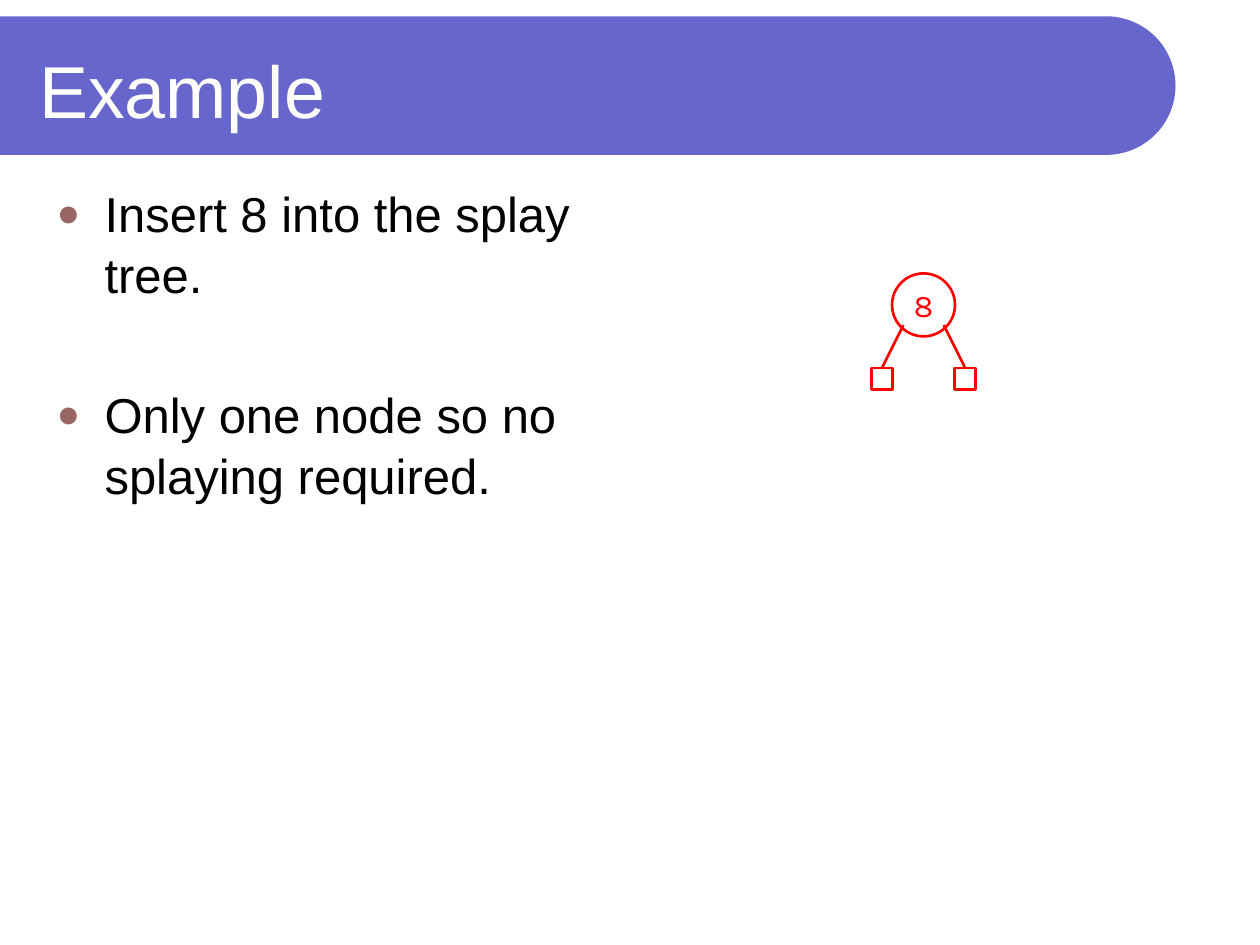
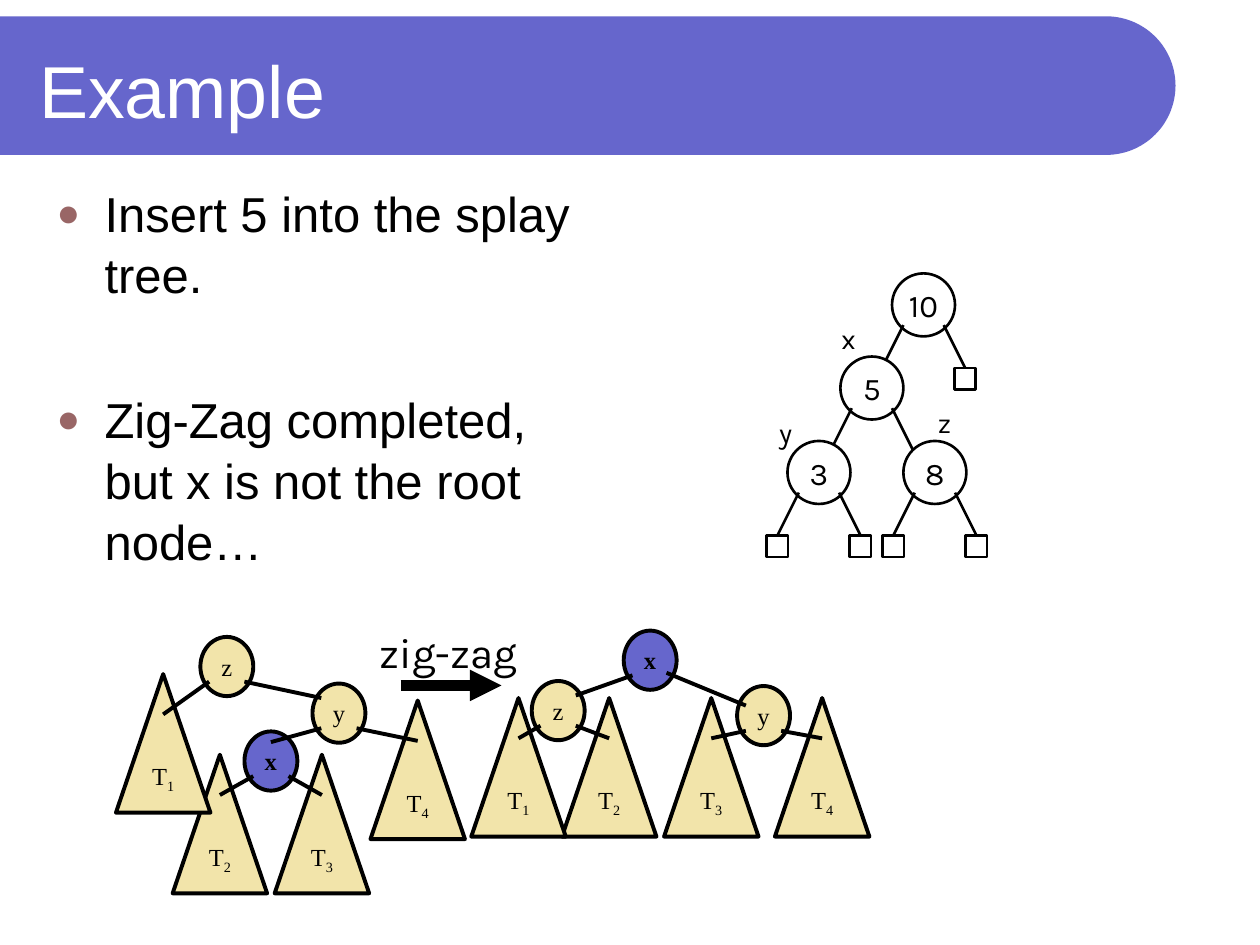
"""Builds two slides on inserting keys into a splay tree."""
import math

import lxml.etree
import pptx
import pptx.dml.color
import pptx.enum.shapes
import pptx.enum.text
import pptx.oxml.ns
import pptx.util
from pptx.util import Inches, Pt

COLORS = {"band": "6666CC", "white": "FFFFFF", "black": "000000", "red": "FF0000",
          "bullet": "996666", "sand": "F2E4AA"}
SHAPES = pptx.enum.shapes.MSO_SHAPE
CENTER = pptx.enum.text.PP_ALIGN.CENTER
LEFT = pptx.enum.text.PP_ALIGN.LEFT

TITLE_FONT = {"name": "Arial", "size": Pt(42)}
BODY_FONT = {"name": "Arial", "size": Pt(28)}
KEY_FONT = {"name": "Karla", "size": Pt(18)}
NAME_FONT = {"name": "Karla", "size": Pt(16)}
STEP_FONT = {"name": "Karla", "size": Pt(24)}
SUBTREE_FONT = {"name": "Times New Roman", "size": Pt(14)}

# fmt: off
SLIDES = [
    {"title": "Example",
     "bullets": ["Insert 8 into the splay tree.",
                 "Only one node so no splaying required."],
     "gap": 44.5, "ink": "red",
     "nodes": [("8", 7.33, 2.42, "LR", "LR")],
     "names": [], "rotation": None},
    {"title": "Example",
     "bullets": ["Insert 5 into the splay tree.",
                 "Zig-Zag completed, but x is not the root node…"],
     "gap": 47.5, "ink": "black",
     "nodes": [("10", 7.33, 2.42, "LR", "R"), ("5", 6.92, 3.08, "LR", ""),
               ("3", 6.5, 3.75, "LR", "LR"), ("8", 7.42, 3.75, "LR", "LR")],
     "names": [("x", 6.58, 2.5), ("z", 7.34, 3.17), ("y", 6.08, 3.25)],
     "rotation": {
         "step": ("zig-zag", 2.91, 4.92, 1.3, 0.5),
         "arrow": (3.18, 5.44, 3.98, 5.44),
         "stages": [
             {"circles": {"z": (1.8, 5.29), "y": (2.69, 5.66), "x": (2.15, 6.04)},
              "triangles": [("2", 1.37, 5.99, "x"), ("3", 2.18, 5.99, "x"),
                            ("4", 2.94, 5.56, "y"), ("1", 0.92, 5.35, "z")],
              "links": [(1.94, 5.41, 2.55, 5.54), (2.55, 5.78, 2.15, 5.89)]},
             {"circles": {"x": (5.16, 5.24), "z": (4.43, 5.64), "y": (6.06, 5.68)},
              "triangles": [("2", 4.46, 5.54, "z"), ("3", 5.27, 5.54, "y"),
                            ("4", 6.15, 5.54, "y"), ("1", 3.74, 5.54, "z")],
              "links": [(5.92, 5.6, 5.29, 5.34), (4.57, 5.52, 5.02, 5.36)]},
         ]}},
]
# fmt: on

NODE_SIZE, LEAF_SIZE = 0.5, 0.17
EDGE_START, LEAF_REACH, LEAF_DROP = 0.16, 0.33, 0.5
CIRCLE_WIDTH, CIRCLE_HEIGHT = 0.42, 0.47
TRIANGLE_WIDTH, TRIANGLE_HEIGHT = 0.75, 1.1
LINK_REACH, LINK_START, LINK_END = 0.14, 0.12, 0.32


def rgb(color):
    return pptx.dml.color.RGBColor.from_string(COLORS[color])


def set_values(target, values):
    for name, value in values.items():
        setattr(target, name, value)


def add_span(para, text, font, color, bold=False):
    span = para.add_run()
    span.text = text
    set_values(span.font, {**font, "bold": bold})
    span.font.color.rgb = rgb(color)
    return span


def add_band(page, layout):
    right, middle, radius = 8.78, 0.68, 0.55
    angles = [math.radians(degree) for degree in range(-90, 91, 3)]
    arc = [(Inches(right + radius * math.cos(angle)),
            Inches(middle + radius * math.sin(angle))) for angle in angles]
    outline = page.shapes.build_freeform(0, Inches(middle - radius))
    outline.add_line_segments(arc + [(0, Inches(middle + radius))])
    band = outline.convert_to_shape()
    band.shadow.inherit = False
    band.fill.solid()
    band.fill.fore_color.rgb = rgb("band")
    band.line.fill.background()
    layout.shapes.element.insert(2, band.element)


def place(box, left, top, width, height):
    set_values(box, {"left": Inches(left), "top": Inches(top),
                     "width": Inches(width), "height": Inches(height)})


def add_bullet(para):
    properties = para._p.get_or_add_pPr()
    set_values_xml = {"marL": str(Inches(0.38)), "indent": str(-Inches(0.38))}
    for name, value in set_values_xml.items():
        properties.set(name, value)
    qn = pptx.oxml.ns.qn
    color = lxml.etree.SubElement(properties, qn("a:buClr"))
    lxml.etree.SubElement(color, qn("a:srgbClr"), val=COLORS["bullet"])
    lxml.etree.SubElement(properties, qn("a:buSzPct"), val="80000")
    lxml.etree.SubElement(properties, qn("a:buFont"), typeface="Arial")
    lxml.etree.SubElement(properties, qn("a:buChar"), char="●")


def fill_placeholders(page, content):
    title, body = page.shapes.title, page.placeholders[1]
    place(title, 0.21, 0.21, 8.77, 1)
    place(body, 0.35, 1.39, 4.56, 5.75)
    for box in (title, body):
        box.text_frame.auto_size = pptx.enum.text.MSO_AUTO_SIZE.NONE
    para = title.text_frame.paragraphs[0]
    para.alignment = LEFT
    add_span(para, content["title"], TITLE_FONT, "white")
    for index, text in enumerate(content["bullets"]):
        para = body.text_frame.add_paragraph() if index else body.text_frame.paragraphs[0]
        add_bullet(para)
        set_values(para, {"alignment": LEFT, "line_spacing": 1.04,
                          "space_before": Pt(content["gap"] if index else 0)})
        add_span(para, text, BODY_FONT, "black")


def add_line(page, ends, color, width):
    line = page.shapes.add_connector(
        pptx.enum.shapes.MSO_CONNECTOR.STRAIGHT, *[Inches(value) for value in ends])
    line.line.color.rgb = rgb(color)
    line.line.width = Pt(width)
    lxml.etree.SubElement(line.element.spPr, pptx.oxml.ns.qn("a:effectLst"))
    return line


def center_text(box):
    set_values(box.text_frame, {"word_wrap": False,
                                "vertical_anchor": pptx.enum.text.MSO_ANCHOR.MIDDLE})
    para = box.text_frame.paragraphs[0]
    para.alignment = CENTER
    return para


def add_outlined(page, kind, bounds, fill, ink, width):
    shape = page.shapes.add_shape(kind, *[Inches(value) for value in bounds])
    shape.shadow.inherit = False
    if fill:
        shape.fill.solid()
        shape.fill.fore_color.rgb = rgb(fill)
    else:
        shape.fill.background()
    shape.line.color.rgb = rgb(ink)
    shape.line.width = Pt(width)
    return shape


def add_label(page, text, bounds, font):
    box = page.shapes.add_textbox(*[Inches(value) for value in bounds])
    add_span(center_text(box), text, font, "black")


def add_node(page, key, x, y, edges, leaves, ink):
    half = NODE_SIZE / 2
    circle = add_outlined(page, SHAPES.OVAL, (x - half, y - half, NODE_SIZE, NODE_SIZE),
                          "white", ink, 1.5)
    add_span(center_text(circle), key, KEY_FONT, ink)
    for side, sign in (("L", -1), ("R", 1)):
        end_x, end_y = x + sign * LEAF_REACH, y + LEAF_DROP
        if side in leaves:
            add_outlined(page, SHAPES.RECTANGLE,
                         (end_x - LEAF_SIZE / 2, end_y, LEAF_SIZE, LEAF_SIZE),
                         None, ink, 1.5)
        if side in edges:
            add_line(page, (x + sign * EDGE_START, y + EDGE_START, end_x, end_y), ink, 1.5)


def add_stage(page, circles, triangles, links):
    for number, left, top, parent in triangles:
        triangle = add_outlined(page, SHAPES.ISOSCELES_TRIANGLE,
                                (left, top, TRIANGLE_WIDTH, TRIANGLE_HEIGHT),
                                "sand", "black", 2.25)
        para = center_text(triangle)
        add_span(para, "T", SUBTREE_FONT, "black")
        subscript = add_span(para, number, SUBTREE_FONT, "black")
        subscript._r.get_or_add_rPr().set("baseline", "-25000")
    for name, (x, y) in circles.items():
        circle = add_outlined(page, SHAPES.OVAL,
                              (x - CIRCLE_WIDTH / 2, y - CIRCLE_HEIGHT / 2,
                               CIRCLE_WIDTH, CIRCLE_HEIGHT),
                              "band" if name == "x" else "sand", "black", 2.25)
        add_span(center_text(circle), name, SUBTREE_FONT, "black", name == "x")
    for ends in links:
        add_line(page, ends, "black", 2.25)
    for number, left, top, parent in triangles:
        x, y = circles[parent]
        apex = left + TRIANGLE_WIDTH / 2
        start = x + math.copysign(LINK_REACH, apex - x)
        add_line(page, (start, y + LINK_START, apex, top + LINK_END), "black", 2.25)


def add_rotation(page, rotation):
    text, *bounds = rotation["step"]
    add_label(page, text, bounds, STEP_FONT)
    for stage in rotation["stages"]:
        add_stage(page, **stage)
    arrow = add_line(page, rotation["arrow"], "black", 6)
    lxml.etree.SubElement(arrow.line._get_or_add_ln(),
                          pptx.oxml.ns.qn("a:tailEnd"), type="triangle")


def main():
    deck = pptx.Presentation()
    set_values(deck, {"slide_width": Inches(10), "slide_height": Inches(7.5)})
    layout = deck.slide_layouts[1]
    for index, content in enumerate(SLIDES):
        page = deck.slides.add_slide(layout)
        if index == 0:
            add_band(page, layout)
        fill_placeholders(page, content)
        for node in content["nodes"]:
            add_node(page, *node, content["ink"])
        for name, left, top in content["names"]:
            add_label(page, name, (left, top, 0.31, 0.37), NAME_FONT)
        if content["rotation"]:
            add_rotation(page, content["rotation"])
    deck.save("out.pptx")


if __name__ == "__main__":
    main()
